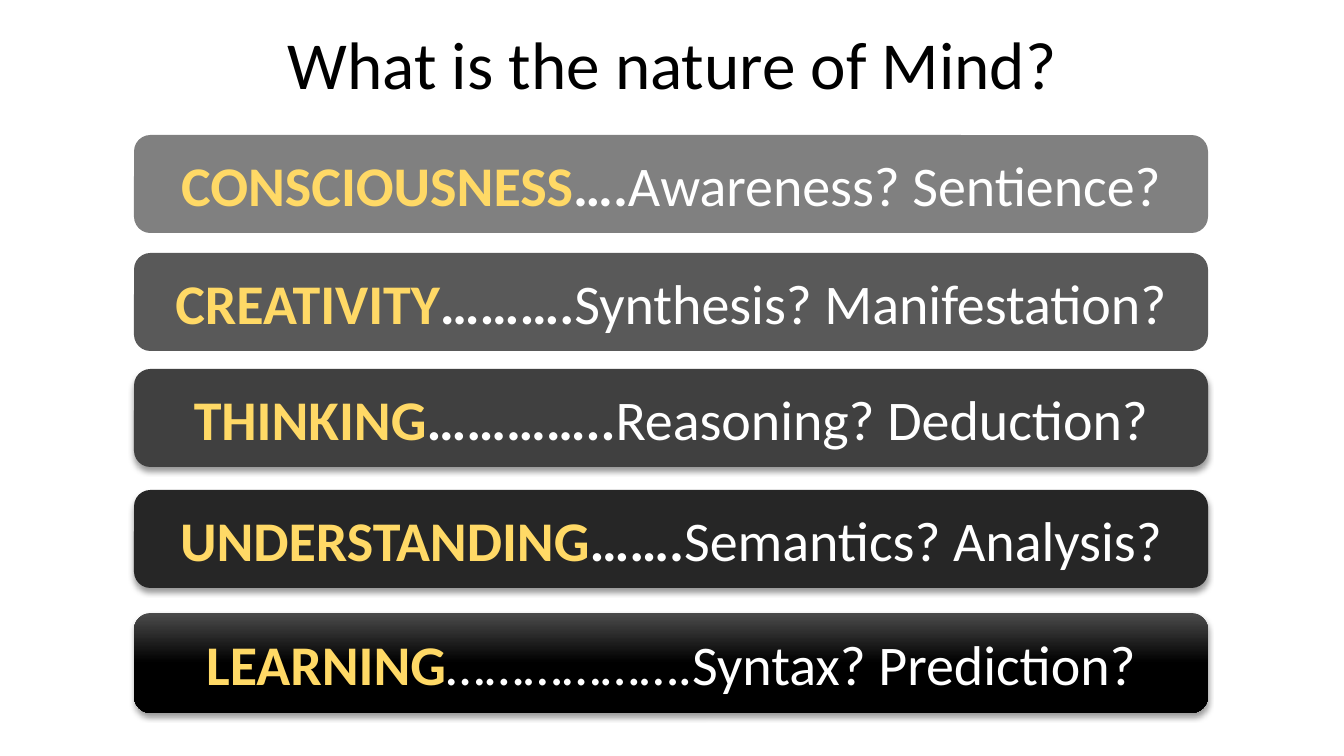
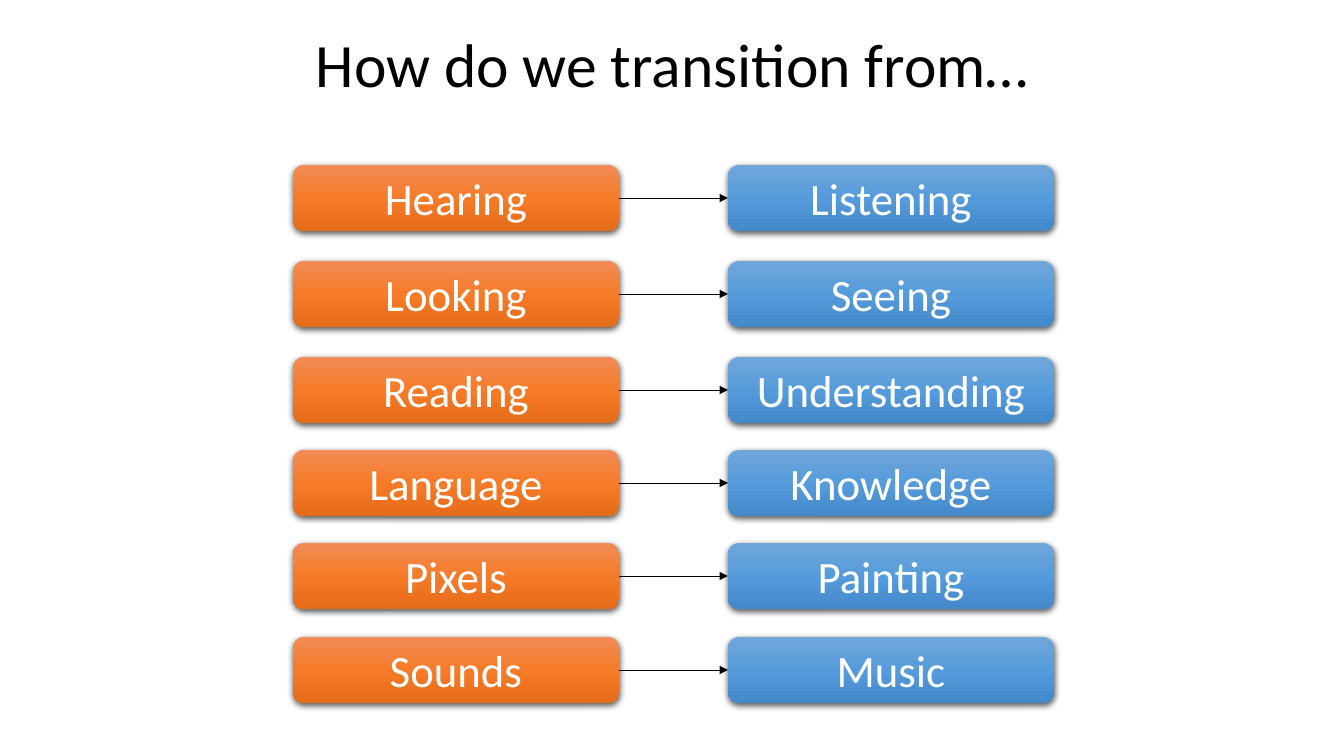
from dataclasses import dataclass

from lxml.etree import SubElement as Sub
from pptx import Presentation
from pptx.dml.color import RGBColor as RGB
from pptx.enum.shapes import MSO_CONNECTOR as Conn, MSO_SHAPE as Kind
from pptx.enum.text import MSO_ANCHOR as Anchor, PP_ALIGN as Align
from pptx.oxml.ns import qn
from pptx.util import Emu, Pt

# Content: top, height, fill, shadow, text runs (keyword, bold dots, plain rest)
MIND = "What is the nature of Mind?"
BARS = [
    (135, 98, "ash", None, ("CONSCIOUSNESS", "….", "Awareness? Sentience?")),
    (253, 98, "slate", None, ("CREATIVITY", "……….", "Synthesis? Manifestation?")),
    (369, 98, "coal", "deep", ("THINKING", "…………..", "Reasoning? Deduction?")),
    (490, 98, "soot", "deep", ("UNDERSTANDING", "…….", "Semantics? Analysis?")),
    (613, 100, "jet", "deep", ("LEARNING", "", "……………….Syntax? Prediction?")),
]

SHIFT = "How do we transition from…"
PAIRS = [
    (165, "Hearing", "Listening"),
    (261, "Looking", "Seeing"),
    (357, "Reading", "Understanding"),
    (450, "Language", "Knowledge"),
    (543, "Pixels", "Painting"),
    (637, "Sounds", "Music"),
]

# Layout in px
WIDE, HIGH = 1344, 756
TITLE = (39, 5, 1267, 126)
BAR_X, BAR_W = 134, 1074
FROM_X, TO_X, BOX_W, BOX_H = 293, 728, 326, 66


@dataclass(frozen=True)
class Theme:
    font: str = "Calibri"
    ink: str = "000000"
    pale: str = "FFFFFF"
    gold: str = "FFD966"
    head: int = 48
    head_low: int = 44
    bar: int = 40
    box: int = 32
    rule: float = 0.5


T = Theme()
# A single colour is a solid fill, three colours are a downward gradient
FILLS = {
    "ash": ["808080"],
    "slate": ["595959"],
    "coal": ["404040"],
    "soot": ["262626"],
    "jet": ["4B4B4B", "000000", "000000"],
    "orange": ["F18C57", "F67B28", "E56C19"],
    "blue": ["71A6DB", "559BDB", "448ACA"],
}
# Opacity in percent, blur and distance in points
SHADES = {"deep": (40, 4, 3), "soft": (63, 4.5, 1.5)}


def px(n):
    return Emu(round(n * 914400 / 100.8))


def write(frame, runs, size):
    """Centre one paragraph; each run is (text, colour, bold)."""
    frame.word_wrap = True
    frame.vertical_anchor = Anchor.MIDDLE
    para = frame.paragraphs[0]
    para.alignment = Align.CENTER
    for text, hue, bold in runs:
        run = para.add_run()
        run.text = text
        font = run.font
        font.name, font.size, font.bold = T.font, Pt(size), bold
        font.color.rgb = RGB.from_string(hue)
    return para


def paint(shape, hues):
    fill = shape.fill
    if len(hues) == 1:
        fill.solid()
        fill.fore_color.rgb = RGB.from_string(hues[0])
        return
    fill.gradient()
    fill.gradient_angle = 270
    stops = shape.element.spPr.find(f".//{qn('a:gsLst')}")
    for old in list(stops):
        stops.remove(old)
    for i, hue in enumerate(hues):
        stop = Sub(stops, qn("a:gs"), pos=str(i * 100000 // (len(hues) - 1)))
        Sub(stop, qn("a:srgbClr"), val=hue)


def shade(shape, name):
    shape.shadow.inherit = False
    if name is None:
        return
    alpha, blur, dist = SHADES[name]
    cast = Sub(shape.element.spPr.find(qn("a:effectLst")), qn("a:outerShdw"),
               blurRad=str(Pt(blur)), dist=str(Pt(dist)),
               dir="5400000", rotWithShape="0")
    hue = Sub(cast, qn("a:srgbClr"), val=T.ink)
    Sub(hue, qn("a:alpha"), val=str(alpha * 1000))


def panel(slide, area, fill, shadow, runs, size):
    shape = slide.shapes.add_shape(Kind.ROUNDED_RECTANGLE, *map(px, area))
    paint(shape, FILLS[fill])
    shape.line.fill.background()
    shade(shape, shadow)
    write(shape.text_frame, runs, size)
    return shape


def arrow(slide, start, end):
    line = slide.shapes.add_connector(Conn.STRAIGHT, 0, 0, 0, 0)
    line.begin_connect(start, 3)
    line.end_connect(end, 1)
    line.line.color.rgb = RGB.from_string(T.ink)
    line.line.width = Pt(T.rule)
    Sub(line.line._get_or_add_ln(), qn("a:tailEnd"), type="triangle")
    Sub(line.element.spPr, qn("a:effectLst"))


def page(deck, title, size):
    slide = deck.slides.add_slide(deck.slide_layouts[6])
    frame = slide.shapes.add_textbox(*map(px, TITLE)).text_frame
    frame.margin_left = frame.margin_right = px(5)
    frame.margin_top = frame.margin_bottom = 0
    write(frame, [(title, T.ink, False)], size).line_spacing = 0.9
    return slide


def mind(deck):
    slide = page(deck, MIND, T.head)
    for top, high, fill, shadow, (key, dots, rest) in BARS:
        runs = [(key, T.gold, True), (dots, T.pale, True), (rest, T.pale, False)]
        panel(slide, (BAR_X, top, BAR_W, high), fill, shadow,
              [run for run in runs if run[0]], T.bar)


def shift(deck):
    slide = page(deck, SHIFT, T.head_low)
    for top, *words in PAIRS:
        ends = [
            panel(slide, (x, top, BOX_W, BOX_H), fill, "soft",
                  [(word, T.pale, False)], T.box)
            for x, fill, word in zip((FROM_X, TO_X), ("orange", "blue"), words)
        ]
        arrow(slide, *ends)


def main():
    deck = Presentation()
    deck.slide_width, deck.slide_height = px(WIDE), px(HIGH)
    mind(deck)
    shift(deck)
    deck.save("out.pptx")


if __name__ == "__main__":
    main()
